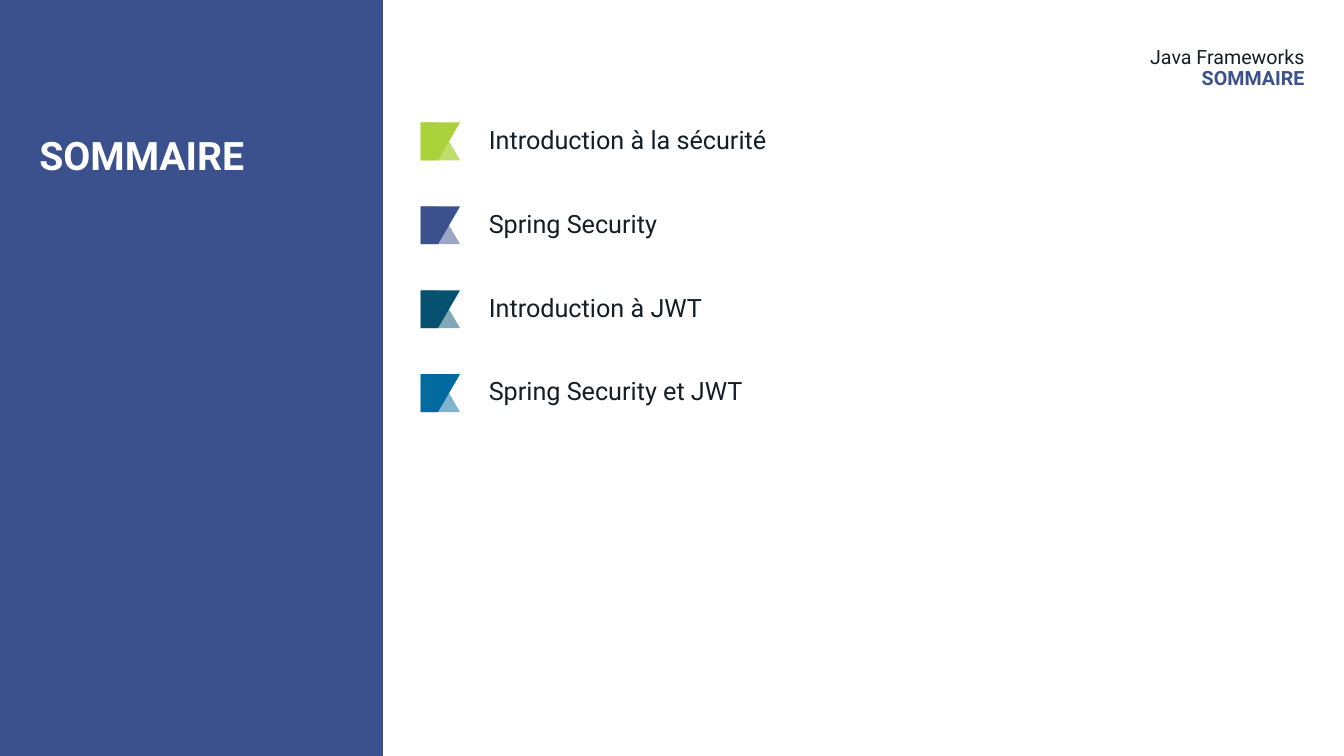
from pptx import Presentation
from pptx.dml.color import RGBColor
from pptx.enum.shapes import MSO_SHAPE as Shape
from pptx.enum.text import MSO_AUTO_SIZE as AutoSize, PP_ALIGN as Align
from pptx.oxml.ns import qn
from pptx.util import Inches, Pt
from lxml.etree import SubElement

WHITE = RGBColor(0xFF, 0xFF, 0xFF)
INK = RGBColor(0x14, 0x1E, 0x26)
INDIGO = RGBColor(0x3B, 0x51, 0x8E)
LIME = RGBColor(0xAA, 0xD2, 0x3B)
PETROL = RGBColor(0x06, 0x51, 0x6F)
AZURE = RGBColor(0x01, 0x6B, 0x9F)

# Agenda entry, marker colour, opacity of the marker's back layer in percent
AGENDA = [
    ("Introduction à la sécurité", LIME, 75),
    ("Spring Security", INDIGO, 50),
    ("Introduction à JWT", PETROL, 50),
    ("Spring Security et JWT", AZURE, 50),
]
FIRST_ROW, ROW_STEP = 16.2, 11.1
MARKER_LEFT, MARKER_WIDTH, MARKER_HEIGHT = 31.3, 2.93, 5
ENTRY_LEFT, ENTRY_WIDTH = 35.63, 54.16

# Marker outlines as shares of the marker's own box
BACK_LAYER = [(0.44, 0), (1, 1), (0, 1), (0, 0)]
FRONT_LAYER = [(x, 1 - y) for x, y in BACK_LAYER]


class SlideBuilder:
    """Draws on one slide; lengths are percentages of the slide's size."""

    font_name = "Roboto"
    line_spacing = 0.9

    def __init__(self, presentation):
        self.width = presentation.slide_width
        self.height = presentation.slide_height
        self.slide = presentation.slides.add_slide(presentation.slide_layouts[6])

    def across(self, percent):
        return round(self.width * percent / 100)

    def down(self, percent):
        return round(self.height * percent / 100)

    def box(self, left, top, width, height):
        return self.across(left), self.down(top), self.across(width), self.down(height)

    def paint(self, shape, color, opacity=100):
        shape.shadow.inherit = False
        shape.line.fill.background()
        shape.fill.solid()
        shape.fill.fore_color.rgb = color
        if opacity < 100:
            fill_color = shape._element.spPr.find(qn("a:solidFill"))[0]
            SubElement(fill_color, qn("a:alpha"), val=str(opacity * 1000))

    def panel(self, left, top, width, height, color):
        shape = self.slide.shapes.add_shape(
            Shape.RECTANGLE, *self.box(left, top, width, height))
        self.paint(shape, color)

    def text(self, left, top, width, height, lines, size, align=Align.LEFT, inset=True):
        """Write lines given as (text, colour, bold)."""
        shape = self.slide.shapes.add_textbox(*self.box(left, top, width, height))
        text_frame = shape.text_frame
        text_frame.word_wrap = True
        if inset:
            text_frame.auto_size = AutoSize.SHAPE_TO_FIT_TEXT
        else:
            text_frame.margin_left = text_frame.margin_right = 0
            text_frame.margin_top = text_frame.margin_bottom = 0
        text_frame.text = "\n".join(line[0] for line in lines)
        for paragraph, (_, color, bold) in zip(text_frame.paragraphs, lines):
            paragraph.alignment = align
            paragraph.line_spacing = self.line_spacing
            font = paragraph.runs[0].font
            font.name, font.size, font.bold = self.font_name, Pt(size), bold
            font.color.rgb = color

    def marker(self, left, top, color, back_opacity):
        group = self.slide.shapes.add_group_shape()
        for outline, opacity in ((BACK_LAYER, back_opacity), (FRONT_LAYER, 100)):
            points = [(self.across(left + x * MARKER_WIDTH),
                       self.down(top + y * MARKER_HEIGHT)) for x, y in outline]
            builder = group.shapes.build_freeform(*points[0])
            builder.add_line_segments(points[1:], close=True)
            self.paint(builder.convert_to_shape(), color, opacity)


def main():
    presentation = Presentation()
    presentation.slide_width = Inches(13.33)
    presentation.slide_height = Inches(7.5)
    slide = SlideBuilder(presentation)

    slide.panel(0, 0, 28.5, 100, INDIGO)
    slide.text(2.93, 18.13, 23.4, 64.5, [("SOMMAIRE", WHITE, True)], 28, inset=False)
    slide.text(31.36, 6.27, 65.7, 6.4,
               [("Java Frameworks", INK, False), ("SOMMAIRE", INDIGO, True)],
               14, Align.RIGHT, inset=False)

    for index, (entry, color, back_opacity) in enumerate(AGENDA):
        top = FIRST_ROW + index * ROW_STEP
        slide.marker(MARKER_LEFT, top, color, back_opacity)
        slide.text(ENTRY_LEFT, top, ENTRY_WIDTH, MARKER_HEIGHT, [(entry, INK, False)], 18)

    presentation.save("out.pptx")


if __name__ == "__main__":
    main()
